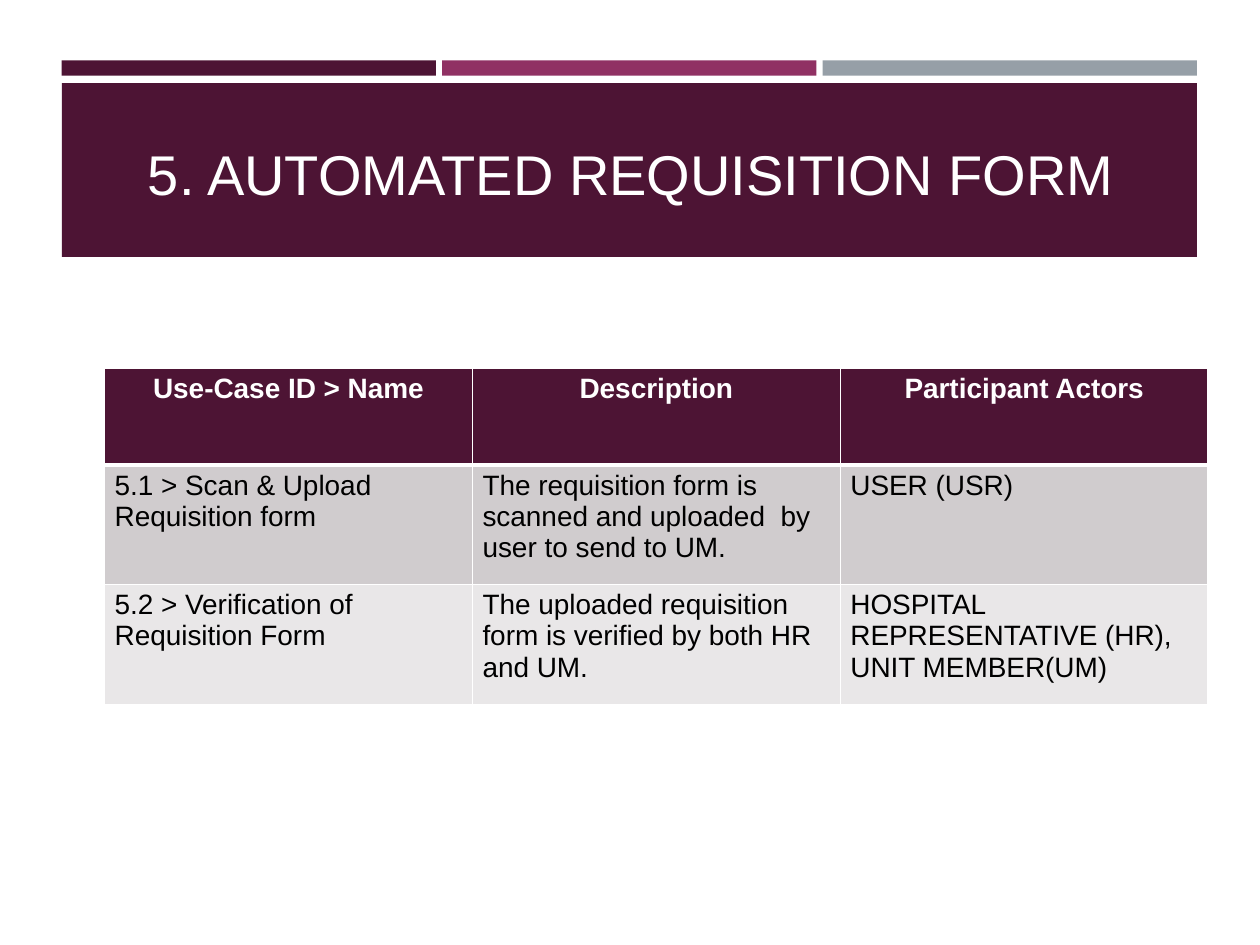
from dataclasses import dataclass

from lxml.etree import SubElement
from pptx import Presentation
from pptx.dml.color import RGBColor
from pptx.enum.shapes import MSO_SHAPE
from pptx.enum.text import MSO_ANCHOR, PP_ALIGN
from pptx.oxml.ns import qn
from pptx.slide import Slide
from pptx.table import _Cell
from pptx.text.text import TextFrame
from pptx.util import Inches, Pt


@dataclass(frozen=True)
class Theme:
    font: str = "Arial"
    plum: str = "4D1434"
    magenta: str = "903163"
    gray: str = "969FA7"
    white: str = "FFFFFF"
    black: str = "000000"
    dark_band: str = "D0CCCE"
    light_band: str = "E9E7E8"
    title_size: int = 32
    table_size: int = 16


@dataclass(frozen=True)
class Block:
    left: float
    top: float
    width: float
    height: float
    color: str


@dataclass(frozen=True)
class TableRow:
    texts: tuple[str, str, str]
    height: float
    fill: str
    is_header: bool = False


THEME = Theme()
BANNER = Block(0.49, 0.66, 9.01, 1.38, THEME.plum)
BAR_GAP = 0.05
BAR_COLORS = (THEME.plum, THEME.magenta, THEME.gray)
COLUMN_WIDTH = 2.92
TABLE_ROWS = (
    TableRow(
        ("Use-Case ID > Name", "Description", "Participant Actors"),
        0.77, THEME.plum, is_header=True,
    ),
    TableRow(
        (
            "5.1 > Scan & Upload Requisition form",
            "The requisition form is scanned and uploaded  by user to send to UM.",
            "USER (USR)",
        ),
        0.95, THEME.dark_band,
    ),
    TableRow(
        (
            "5.2 > Verification of Requisition Form",
            "The uploaded requisition form is verified by both HR and UM.",
            "HOSPITAL REPRESENTATIVE (HR), UNIT MEMBER(UM)",
        ),
        0.95, THEME.light_band,
    ),
)


def write_text(text_frame: TextFrame, text: str, *, size: int, color: str,
               bold: bool = False, alignment: PP_ALIGN = PP_ALIGN.LEFT) -> None:
    text_frame.word_wrap = True
    paragraph = text_frame.paragraphs[0]
    paragraph.alignment = alignment
    run = paragraph.add_run()
    run.text = text
    run.font.name = THEME.font
    run.font.size = Pt(size)
    run.font.bold = bold
    run.font.color.rgb = RGBColor.from_string(color)


def draw_block(slide: Slide, block: Block) -> None:
    shape = slide.shapes.add_shape(
        MSO_SHAPE.RECTANGLE, Inches(block.left), Inches(block.top),
        Inches(block.width), Inches(block.height),
    )
    shape.shadow.inherit = False
    shape.fill.solid()
    shape.fill.fore_color.rgb = RGBColor.from_string(block.color)
    shape.line.fill.background()


def draw_bars(slide: Slide) -> None:
    count = len(BAR_COLORS)
    width = (BANNER.width - BAR_GAP * (count - 1)) / count
    for index, color in enumerate(BAR_COLORS):
        left = BANNER.left + index * (width + BAR_GAP)
        draw_block(slide, Block(left, 0.48, width, 0.12, color))


def draw_title(slide: Slide, text: str) -> None:
    title = slide.shapes.add_textbox(Inches(0.64), Inches(1), Inches(8.74), Inches(0.69))
    title.text_frame.vertical_anchor = MSO_ANCHOR.BOTTOM
    write_text(title.text_frame, text, size=THEME.title_size, color=THEME.white,
               alignment=PP_ALIGN.CENTER)


def set_borders(cell: _Cell, widths: dict[str, int]) -> None:
    properties = cell._tc.get_or_add_tcPr()
    for side, width in widths.items():
        line = SubElement(properties, qn(f"a:ln{side}"), w=str(Pt(width)))
        fill = SubElement(line, qn("a:solidFill"))
        SubElement(fill, qn("a:srgbClr"), val=THEME.white)


def draw_table(slide: Slide, rows: tuple[TableRow, ...]) -> None:
    column_count = len(rows[0].texts)
    table = slide.shapes.add_table(
        len(rows), column_count, Inches(0.83), Inches(2.92),
        Inches(COLUMN_WIDTH * column_count), Inches(sum(row.height for row in rows)),
    ).table
    for column in table.columns:
        column.width = Inches(COLUMN_WIDTH)
    for row_index, row in enumerate(rows):
        table.rows[row_index].height = Inches(row.height)
        top = 3 if row_index and rows[row_index - 1].is_header else 1
        bottom = 3 if row.is_header else 1
        for column_index, text in enumerate(row.texts):
            cell = table.cell(row_index, column_index)
            cell.margin_left = cell.margin_right = Inches(0.08)
            cell.margin_top = cell.margin_bottom = Inches(0.04)
            set_borders(cell, {"L": 1, "R": 1, "T": top, "B": bottom})
            cell.fill.solid()
            cell.fill.fore_color.rgb = RGBColor.from_string(row.fill)
            write_text(
                cell.text_frame, text, size=THEME.table_size, bold=row.is_header,
                color=THEME.white if row.is_header else THEME.black,
                alignment=PP_ALIGN.CENTER if row.is_header else PP_ALIGN.LEFT,
            )


def main() -> None:
    presentation = Presentation()
    presentation.slide_width = Inches(10)
    presentation.slide_height = Inches(7.5)
    slide = presentation.slides.add_slide(presentation.slide_layouts[6])
    draw_bars(slide)
    draw_block(slide, BANNER)
    draw_title(slide, "5. AUTOMATED REQUISITION FORM")
    draw_table(slide, TABLE_ROWS)
    presentation.save("out.pptx")


if __name__ == "__main__":
    main()
